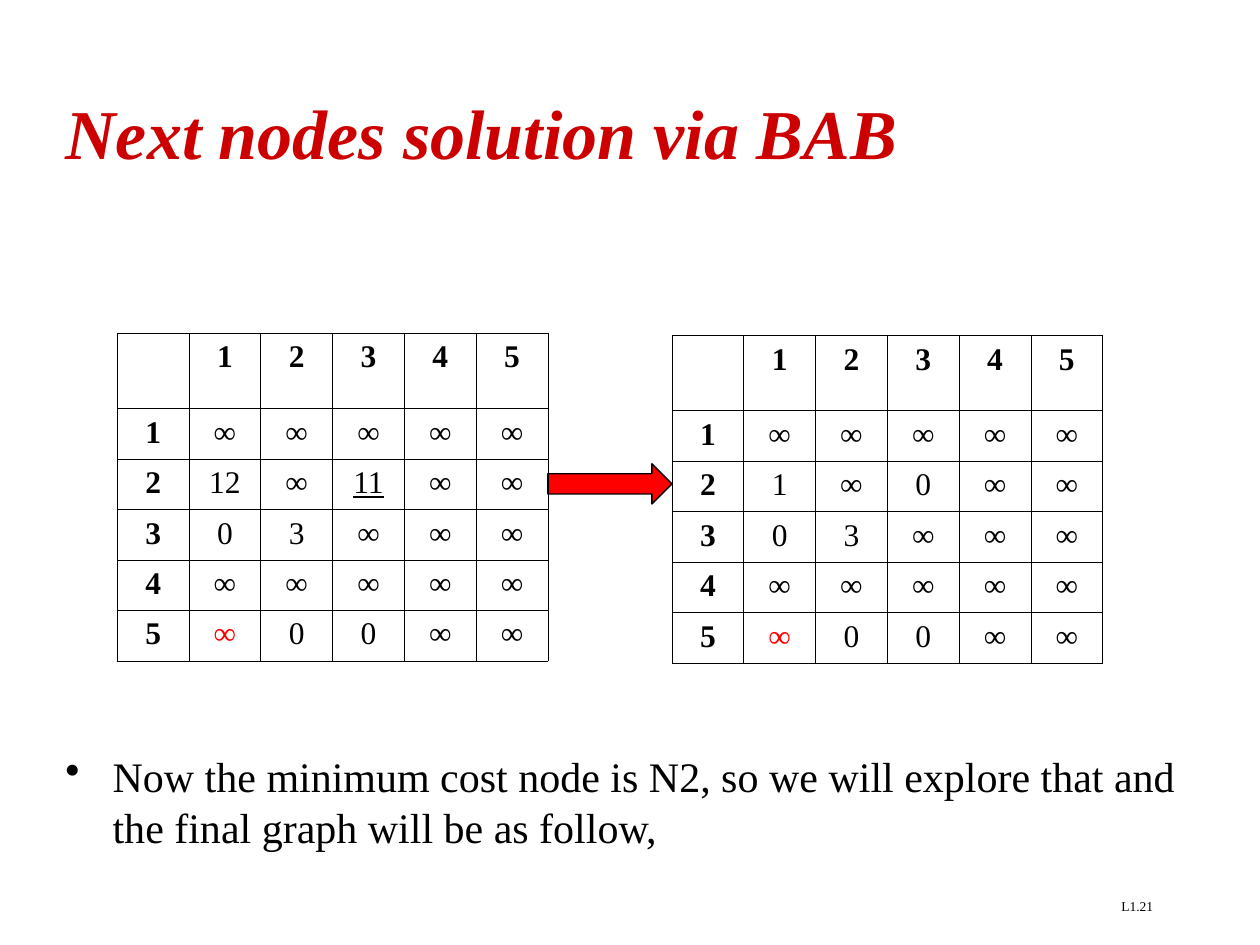
from lxml import etree
from pptx import Presentation
from pptx import util as u
from pptx.dml.color import RGBColor
from pptx.enum import shapes, text
from pptx.oxml.ns import qn

Pt = u.Pt
FONT = "Times New Roman"
COLORS = {"black": "000000", "title": "CC0000", "red": "FF0000"}
COL_W, ROW_H, HEADER_H = 41.04, 28.8, 43

# Cost matrices, rows and columns numbered from 1; "*" marks a red entry, "_" an underlined one
LEFT_MATRIX = ["∞ ∞ ∞ ∞ ∞", "12 ∞ _11 ∞ ∞", "0 3 ∞ ∞ ∞", "∞ ∞ ∞ ∞ ∞", "*∞ 0 0 ∞ ∞"]
RIGHT_MATRIX = LEFT_MATRIX[:1] + ["1 ∞ 0 ∞ ∞"] + LEFT_MATRIX[2:]


def rgb(name):
    return RGBColor.from_string(COLORS[name])


def style(p, color="black", **values):
    for name, value in {"name": FONT, **values}.items():
        setattr(p.font, name, value)
    p.font.color.rgb = rgb(color)


def add_title(s, label):
    sp = s.shapes.title
    for name, value in {"left": 30.24, "top": 30.24, "width": 671.76, "height": 90}.items():
        setattr(sp, name, Pt(value))
    tf = sp.text_frame
    tf.text = label
    tf.auto_size = text.MSO_AUTO_SIZE.NONE
    tf.vertical_anchor = text.MSO_ANCHOR.MIDDLE
    p = tf.paragraphs[0]
    p.alignment = text.PP_ALIGN.LEFT
    style(p, "title", size=Pt(40), bold=True, italic=True)


def add_text(s, label, box, size, align):
    sp = s.shapes.add_textbox(*map(Pt, box))
    tf = sp.text_frame
    tf.word_wrap = True
    p = tf.paragraphs[0]
    p.text = label
    p.alignment = align
    style(p, size=Pt(size))
    return p


def add_bullet(s, label, box):
    p = add_text(s, label, box, 24, text.PP_ALIGN.LEFT)
    p.line_spacing = Pt(29)
    pPr = p._p.get_or_add_pPr()
    pPr.set("marL", str(Pt(27)))
    pPr.set("indent", str(-Pt(27)))
    bullet = etree.Element(qn("a:buChar"), char="•")
    pPr.find(qn("a:lnSpc")).addnext(bullet)


def add_arrow(s, box):
    sp = s.shapes.add_shape(shapes.MSO_SHAPE.RIGHT_ARROW, *map(Pt, box))
    sp.shadow.inherit = False
    sp.fill.solid()
    sp.fill.fore_color.rgb = rgb("red")
    sp.line.color.rgb = rgb("black")
    sp.line.width = Pt(0.75)


def add_borders(cell):
    tcPr = cell._tc.get_or_add_tcPr()
    for side in ("lnL", "lnR", "lnT", "lnB"):
        ln = etree.SubElement(tcPr, qn(f"a:{side}"), w=str(Pt(0.45)))
        fill = etree.SubElement(ln, qn("a:solidFill"))
        etree.SubElement(fill, qn("a:srgbClr"), val=COLORS["black"])


def add_matrix(s, matrix, left, top):
    numbers = [str(n + 1) for n in range(len(matrix))]
    rows = [[""] + numbers] + [[n] + line.split() for n, line in zip(numbers, matrix)]
    size = len(rows)
    height = HEADER_H + ROW_H * (size - 1)
    table = s.shapes.add_table(size, size, Pt(left), Pt(top), Pt(COL_W * size), Pt(height)).table
    table.first_row = table.horz_banding = False
    for i, row in enumerate(rows):
        table.columns[i].width = Pt(COL_W)
        table.rows[i].height = Pt(ROW_H if i else HEADER_H)
        for j, value in enumerate(row):
            cell = table.cell(i, j)
            add_borders(cell)
            cell.fill.background()
            p = cell.text_frame.paragraphs[0]
            p.text = value.lstrip("*_")
            p.alignment = text.PP_ALIGN.CENTER
            style(p, "red" if value.startswith("*") else "black", size=Pt(18),
                  bold=i == 0 or j == 0, underline=value.startswith("_"))


def main():
    prs = Presentation()
    prs.slide_width, prs.slide_height = Pt(720), Pt(540)
    s = prs.slides.add_slide(prs.slide_layouts[5])

    # Slide number and title
    add_text(s, "L1.21", (516.24, 509.76, 149.76, 18), 7.7, text.PP_ALIGN.RIGHT)
    add_title(s, "Next nodes solution via BAB")

    # Reduction of the cost matrix
    add_arrow(s, (313, 265, 71, 23))
    add_matrix(s, LEFT_MATRIX, 67, 190.6)
    add_matrix(s, RIGHT_MATRIX, 384, 191.8)

    # Conclusion
    add_bullet(s, "Now the minimum cost node is N2, so we will explore that and "
               "the final graph will be as follow,", (30.24, 425, 653.76, 66))
    prs.save("out.pptx")


if __name__ == "__main__":
    main()
